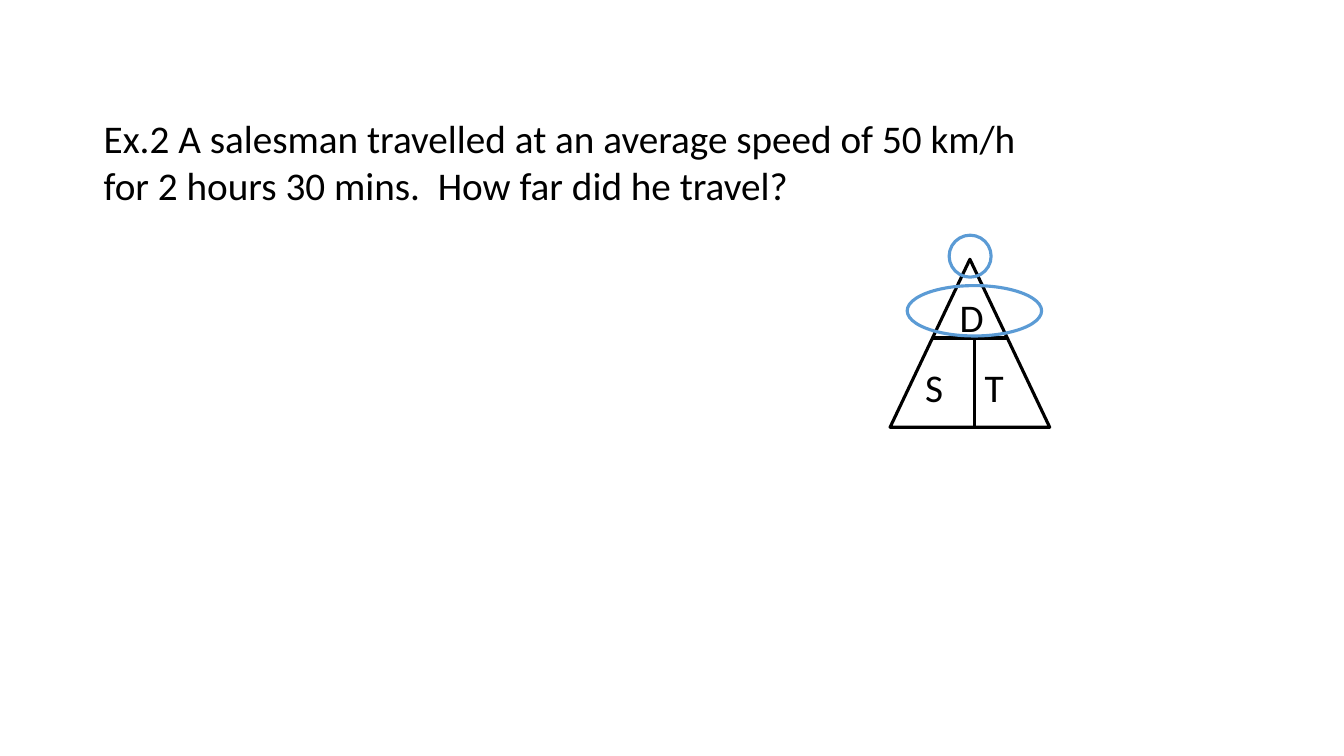
from pptx import Presentation
from pptx.dml.color import RGBColor
from pptx.enum.shapes import MSO_CONNECTOR, MSO_SHAPE
from pptx.util import Pt
from lxml import etree

TRIANGLE = MSO_SHAPE.ISOSCELES_TRIANGLE
OVAL = MSO_SHAPE.OVAL
STRAIGHT = MSO_CONNECTOR.STRAIGHT
EFFECTS = "{http://schemas.openxmlformats.org/drawingml/2006/main}effectLst"
BLACK = "000000"
BLUE = "5B9BD5"


def color(value):
    """Turn a hex string into a colour."""
    return RGBColor.from_string(value)


def add_text(shapes, box, text):
    """Add a wrapped text box in the slide's one text style."""
    tf = shapes.add_textbox(*map(Pt, box)).text_frame
    tf.word_wrap = True
    r = tf.paragraphs[0].add_run()
    r.text = text
    for name, value in {"name": "Calibri", "size": Pt(28)}.items():
        setattr(r.font, name, value)
    r.font.color.rgb = color(BLACK)


def add_outline(shapes, kind, box, line):
    """Add an unfilled shape with a coloured outline."""
    sp = shapes.add_shape(kind, *map(Pt, box))
    sp.shadow.inherit = False
    sp.fill.background()
    sp.line.color.rgb = color(line)
    sp.line.width = Pt(2.25)


def add_divider(shapes, start, end):
    """Add a straight black line between two points."""
    cxn = shapes.add_connector(STRAIGHT, *map(Pt, start + end))
    cxn.line.color.rgb = color(BLACK)
    cxn.line.width = Pt(2.25)
    etree.SubElement(cxn._element.spPr, EFFECTS)


def add_formula_triangle(s, box):
    """Draw the distance, speed and time triangle with its highlights."""
    x, y, w, h = box
    shapes = s.shapes.add_group_shape().shapes
    add_outline(shapes, TRIANGLE, box, BLACK)
    mid_x, mid_y = x + 60.5, y + 56.2
    add_divider(shapes, (x + 30, mid_y), (x + 84, mid_y))
    add_divider(shapes, (mid_x, mid_y), (mid_x, y + h))
    labels = {"D": (42.5, 21, 54), "S": (18, 70.6, 42), "T": (60.5, 70.6, 60)}
    for letter, (dx, dy, width) in labels.items():
        add_text(shapes, (x + dx, y + dy, width, 41), letter)
    for dx, dy, width, height in ((42.2, -17.2, 30, 30), (12.2, 18.8, 96, 36)):
        add_outline(s.shapes, OVAL, (x + dx, y + dy, width, height), BLUE)


def add_question(s, box):
    """Place the worked example's question."""
    add_text(s.shapes, box, "Ex.2 A salesman travelled at an average speed of "
             "50 km/h for 2 hours 30 mins.  How far did he travel?")


def main():
    """Build and save the slide."""
    prs = Presentation()
    prs.slide_width, prs.slide_height = Pt(960), Pt(540)
    s = prs.slides.add_slide(prs.slide_layouts[6])
    add_question(s, (67, 78, 689, 169))
    add_formula_triangle(s, (635.8, 185.2, 114, 120))
    prs.save("out.pptx")


if __name__ == "__main__":
    main()
